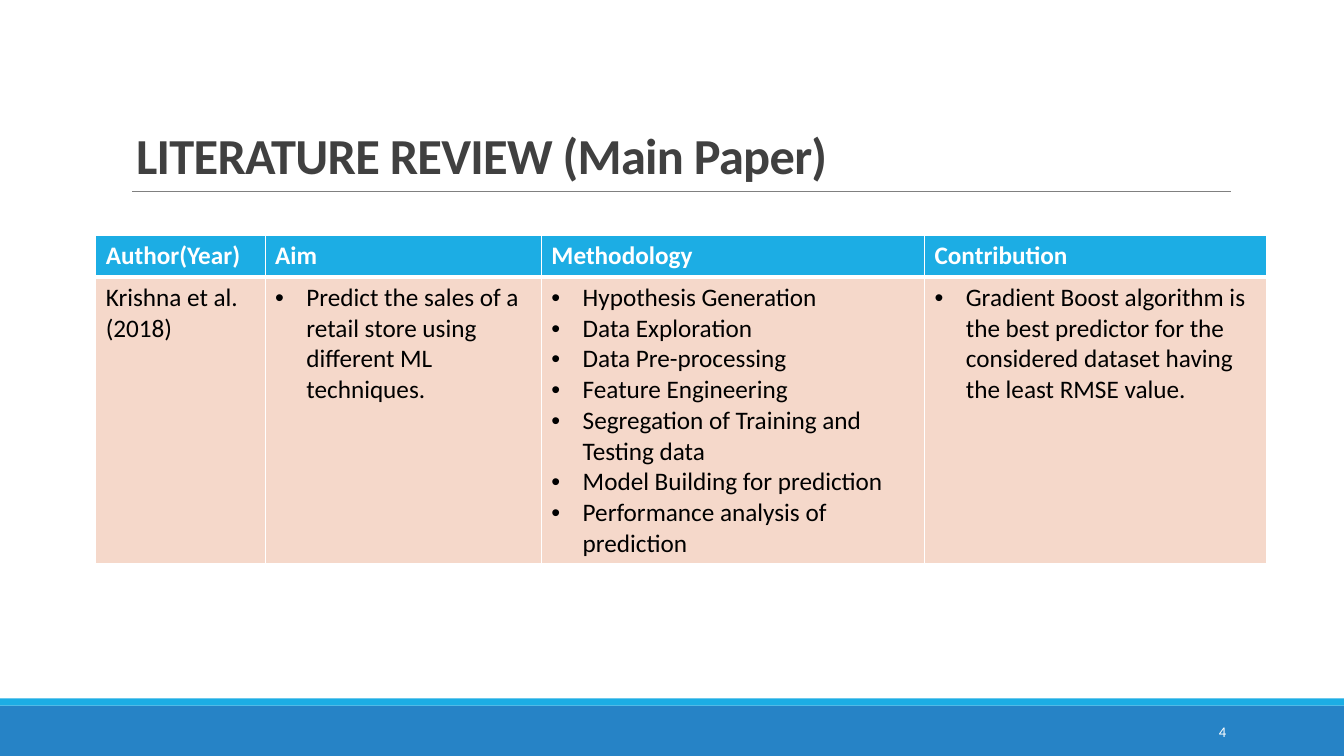
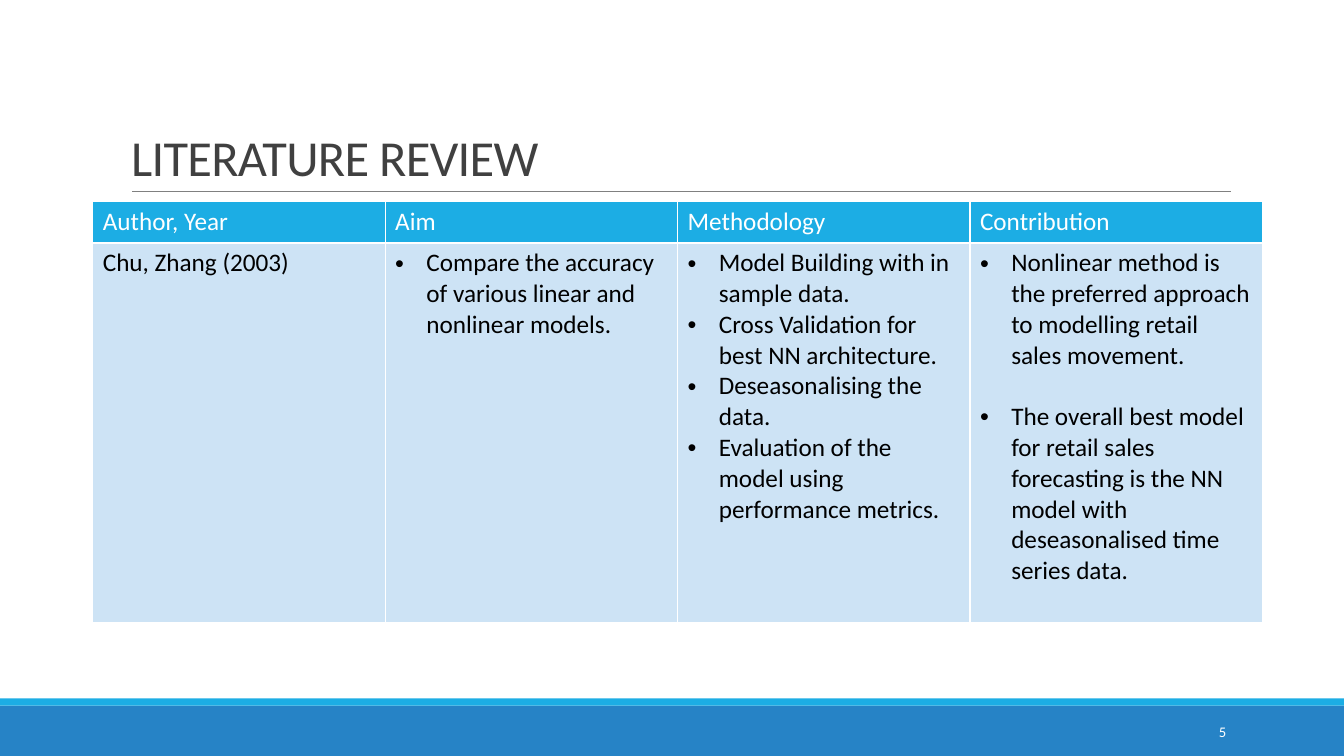
from lxml.etree import SubElement
from pptx import Presentation
from pptx.dml.color import RGBColor
from pptx.enum.shapes import MSO_CONNECTOR, MSO_SHAPE
from pptx.enum.text import MSO_ANCHOR, MSO_AUTO_SIZE, PP_ALIGN
from pptx.oxml.ns import qn
from pptx.util import Inches, Pt

# Shared look
FONT = "Calibri"
WHITE = RGBColor(0xFF, 0xFF, 0xFF)
BLACK = RGBColor(0, 0, 0)
DARK = RGBColor(0x40, 0x40, 0x40)
GRAY = RGBColor(0x80, 0x80, 0x80)
BLUE = RGBColor(0x26, 0x83, 0xC6)
CYAN = RGBColor(0x1C, 0xAD, 0xE4)
PEACH = RGBColor(0xF5, 0xD8, 0xCA)
PALE = RGBColor(0xCD, 0xE3, 0xF5)
WIDTH = 13.33
INDENT = Inches(0.31)
HEAD_H = 0.41


def style(par, size, color, bold=False):
    for run in par.runs:
        font = run.font
        font.name, font.size, font.bold = FONT, Pt(size), bold
        font.color.rgb = color


def add_band(slide, top, height, color):
    band = slide.shapes.add_shape(
        MSO_SHAPE.RECTANGLE, 0, Inches(top), Inches(WIDTH), Inches(height))
    band.shadow.inherit = False
    band.fill.solid()
    band.fill.fore_color.rgb = color
    band.line.fill.background()


def add_rule(slide):
    rule = slide.shapes.add_connector(
        MSO_CONNECTOR.STRAIGHT, Inches(1.31), Inches(1.9), Inches(12.21), Inches(1.9))
    rule.line.color.rgb = GRAY
    rule.line.width = Pt(0.5)
    SubElement(rule._element.spPr, qn("a:effectLst"))


def add_number(slide, number):
    box = slide.shapes.add_textbox(
        Inches(10.83), Inches(7.06), Inches(1.43), Inches(0.4))
    frame = box.text_frame
    frame.word_wrap = True
    frame.vertical_anchor = MSO_ANCHOR.MIDDLE
    frame.text = str(number)
    par = frame.paragraphs[0]
    par.alignment = PP_ALIGN.RIGHT
    style(par, 10.5, WHITE)


def set_title(slide, text, left, top, height, bold):
    title = slide.shapes.title
    title.left, title.top = Inches(left), Inches(top)
    title.width, title.height = Inches(11), Inches(height)
    frame = title.text_frame
    frame.text = text
    frame.word_wrap = True
    frame.auto_size = MSO_AUTO_SIZE.NONE
    frame.vertical_anchor = MSO_ANCHOR.BOTTOM
    par = frame.paragraphs[0]
    par.alignment = PP_ALIGN.LEFT
    par.line_spacing = 0.85
    style(par, 36, DARK, bold)
    par.runs[0].font._element.set("spc", "-50")


def new_slide(deck, number, text, left, top, height, bold=False):
    slide = deck.slides.add_slide(deck.slide_layouts[5])
    add_band(slide, 7, 0.5, BLUE)
    add_band(slide, 6.93, 0.07, CYAN)
    add_rule(slide)
    set_title(slide, text, left, top, height, bold)
    add_number(slide, number)
    return slide


# Table parts
def set_border(cell, side, width):
    line = SubElement(cell._tc.get_or_add_tcPr(), qn("a:ln" + side), w=str(Pt(width)))
    fill = SubElement(line, qn("a:solidFill"))
    SubElement(fill, qn("a:srgbClr"), val=str(WHITE))


def add_bullet(par):
    props = par._p.get_or_add_pPr()
    props.set("marL", str(INDENT))
    props.set("indent", str(-INDENT))
    SubElement(props, qn("a:buFont"), typeface="Arial")
    SubElement(props, qn("a:buChar"), char="•")


def fill_cell(cell, lines, fill, color, bold, top=1, bottom=1, bullets=False):
    for side, width in zip("LRTB", (1, 1, top, bottom)):
        set_border(cell, side, width)
    cell.fill.solid()
    cell.fill.fore_color.rgb = fill
    cell.text_frame.text = "\n".join(lines)
    for par in cell.text_frame.paragraphs:
        style(par, 18, color, bold)
        if bullets:
            add_bullet(par)


def add_review(slide, left, top, widths, height, heads, body, tint,
               bold=False, split=1):
    """Draw a header row above one row of findings."""
    frame = slide.shapes.add_table(
        2, len(widths), Inches(left), Inches(top),
        Inches(sum(widths)), Inches(HEAD_H + height))
    table = frame.table
    table.first_row = table.horz_banding = False
    table.rows[0].height, table.rows[1].height = Inches(HEAD_H), Inches(height)
    for col, (width, head, lines) in enumerate(zip(widths, heads, body)):
        table.columns[col].width = Inches(width)
        fill_cell(table.cell(0, col), [head], CYAN, WHITE, bold, bottom=split)
        fill_cell(table.cell(1, col), lines, tint, BLACK, False,
                  top=split, bullets=col > 0)
    return table


def main():
    deck = Presentation()
    deck.slide_width, deck.slide_height = Inches(WIDTH), Inches(7.5)
    topics = ["Aim", "Methodology", "Contribution"]

    # Main paper
    slide = new_slide(deck, 4, "LITERATURE REVIEW (Main Paper)", 1.25, 0.88, 1, True)
    add_review(
        slide, 0.95, 2.34, [1.68, 2.74, 3.8, 3.39], 2.84,
        ["Author(Year)"] + topics,
        [["Krishna et al. (2018)"],
         ["Predict the sales of a retail store using different ML techniques."],
         ["Hypothesis Generation", "Data Exploration", "Data Pre-processing",
          "Feature Engineering", "Segregation of Training and Testing data",
          "Model Building for prediction", "Performance analysis of prediction"],
         ["Gradient Boost algorithm is the best predictor for the considered "
          "dataset having the least RMSE value."]],
        PEACH, bold=True, split=3)

    # Second paper
    slide = new_slide(deck, 5, "LITERATURE REVIEW", 1.2, 0.31, 1.59)
    table = add_review(
        slide, 0.92, 2, [2.9] * 4, 3.77, ["Author, Year"] + topics,
        [["Chu, Zhang (2003)"],
         ["Compare the accuracy of various linear and nonlinear models."],
         ["Model Building with in sample data.",
          "Cross Validation for best NN architecture.",
          "Deseasonalising the data.",
          "Evaluation of the model using performance metrics."],
         ["Nonlinear method is the preferred approach to modelling retail "
          "sales movement.",
          "The overall best model for retail sales forecasting is the NN model "
          "with deseasonalised time series data."]],
        PALE)
    table.cell(1, 3).text_frame.paragraphs[1].space_before = Pt(22)

    deck.save("out.pptx")


if __name__ == "__main__":
    main()
